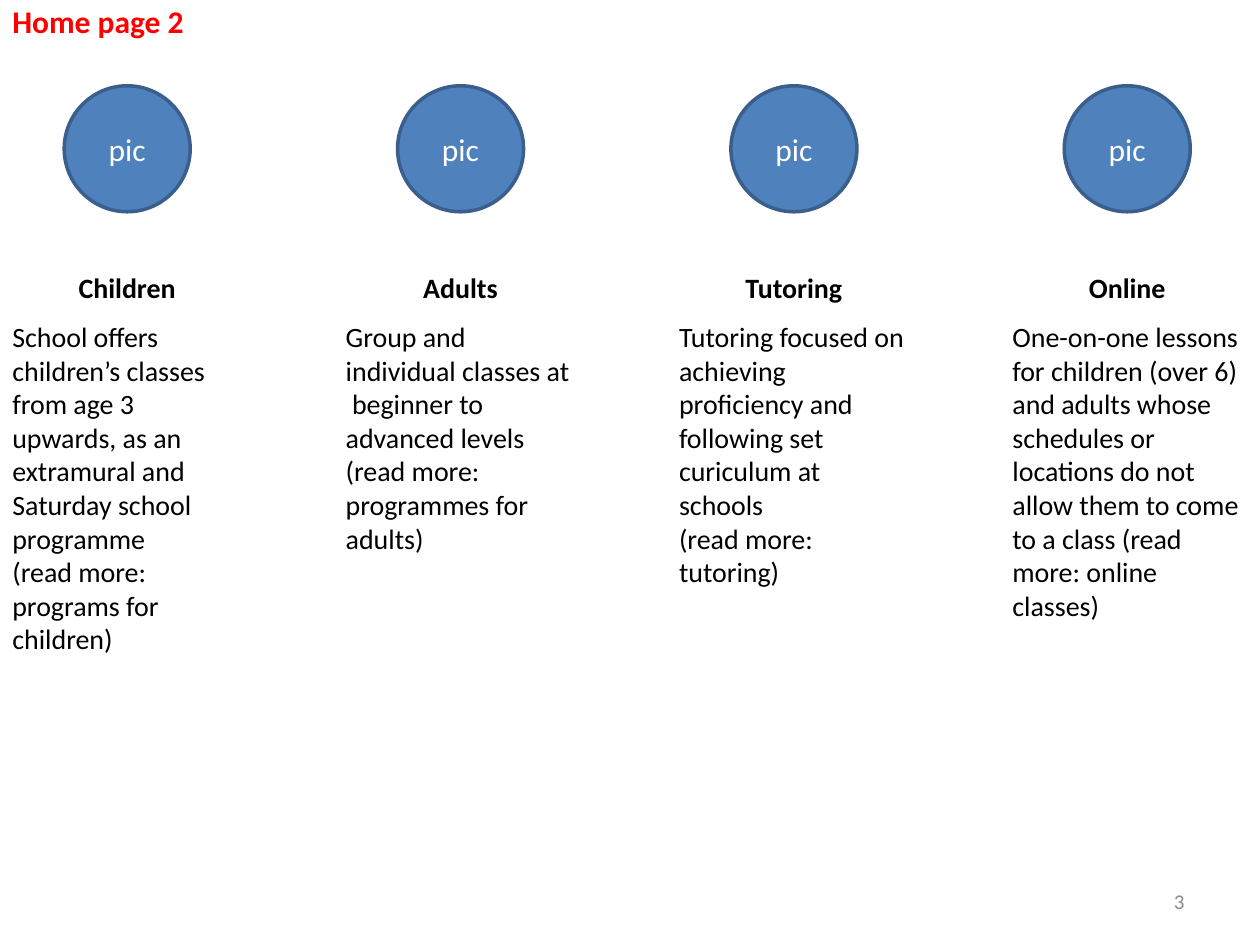
"""Build the home page slide with four columns of course offers."""
from dataclasses import dataclass

from pptx import Presentation
from pptx.dml.color import RGBColor
from pptx.enum.shapes import MSO_SHAPE
from pptx.enum.text import MSO_ANCHOR, MSO_AUTO_SIZE, PP_ALIGN
from pptx.util import Cm, Pt

OVAL = MSO_SHAPE.OVAL
TOP, MIDDLE = MSO_ANCHOR.TOP, MSO_ANCHOR.MIDDLE
FIT, FIXED = MSO_AUTO_SIZE.SHAPE_TO_FIT_TEXT, MSO_AUTO_SIZE.NONE
LEFT, CENTER, RIGHT = PP_ALIGN.LEFT, PP_ALIGN.CENTER, PP_ALIGN.RIGHT


@dataclass(frozen=True)
class Theme:
    font: str = "Calibri"
    title: RGBColor = RGBColor(0xFF, 0x00, 0x00)
    text: RGBColor = RGBColor(0x00, 0x00, 0x00)
    number: RGBColor = RGBColor(0x8C, 0x8C, 0x8C)
    on_fill: RGBColor = RGBColor(0xFF, 0xFF, 0xFF)
    fill: RGBColor = RGBColor(0x4F, 0x81, 0xBD)
    line: RGBColor = RGBColor(0x3A, 0x5F, 0x8C)
    large: Pt = Pt(18)
    body: Pt = Pt(16)
    small: Pt = Pt(12)
    outline: Pt = Pt(2)


THEME = Theme()
COLUMN_PITCH, COLUMN_WIDTH = 6.72, 5.13
CIRCLE_SIZE = 2.54
COLUMNS = [
    ("Children", 7.09, [
        "School offers children’s classes from age 3 upwards, as an extramural "
        "and Saturday school programme",
        "(read more: programs for children)"]),
    ("Adults", 5.05, [
        "Group and individual classes at  beginner to advanced levels",
        "(read more: programmes for adults)"]),
    ("Tutoring", 5.74, [
        "Tutoring focused on achieving proficiency and following set "
        "curiculum at schools",
        "(read more: tutoring)"]),
    ("Online", 6.4, [
        "One-on-one lessons for children (over 6) and adults whose schedules "
        "or locations do not allow them to come to a class (read more: online "
        "classes)"]),
]


def write(tf, lines, size, color, align=LEFT, bold=False):
    for i, line in enumerate(lines):
        p = tf.paragraphs[0] if i == 0 else tf.add_paragraph()
        p.text = line
        p.alignment = align
        p.font.name = THEME.font
        p.font.size = size
        p.font.color.rgb = color
        p.font.bold = bold


def add_text(shapes, box, lines, size, color, align=LEFT, bold=False,
             wrap=True, anchor=TOP, fit=FIT):
    tf = shapes.add_textbox(*map(Cm, box)).text_frame
    tf.word_wrap = wrap
    tf.auto_size = fit
    tf.vertical_anchor = anchor
    write(tf, lines, size, color, align, bold)


def add_circle(shapes, left, top, label):
    sp = shapes.add_shape(OVAL, Cm(left), Cm(top), Cm(CIRCLE_SIZE), Cm(CIRCLE_SIZE))
    sp.shadow.inherit = False
    sp.fill.solid()
    sp.fill.fore_color.rgb = THEME.fill
    sp.line.color.rgb = THEME.line
    sp.line.width = THEME.outline
    sp.text_frame.vertical_anchor = MIDDLE
    write(sp.text_frame, [label], THEME.large, THEME.on_fill, CENTER)


def add_column(slide, left, heading, height, lines):
    shapes = slide.shapes.add_group_shape().shapes
    add_circle(shapes, left + (COLUMN_WIDTH - CIRCLE_SIZE) / 2, 1.73, "pic")
    add_text(shapes, (left, 5.33, COLUMN_WIDTH, 0.94), [heading],
             THEME.body, THEME.text, CENTER, bold=True)
    add_text(shapes, (left, 6.32, COLUMN_WIDTH, height), lines,
             THEME.body, THEME.text)


def main():
    prs = Presentation()
    prs.slide_width, prs.slide_height = Cm(25.4), Cm(19.05)
    slide = prs.slides.add_slide(prs.slide_layouts[6])
    add_text(slide.shapes, (18.2, 17.66, 5.93, 1.01), ["3"], THEME.small,
             THEME.number, RIGHT, anchor=MIDDLE, fit=FIXED)
    add_text(slide.shapes, (0, -0.08, 4.14, 1.03), ["Home page 2"], THEME.large,
             THEME.title, bold=True, wrap=False)
    for i, column in enumerate(COLUMNS):
        add_column(slide, i * COLUMN_PITCH, *column)
    prs.save("out.pptx")


if __name__ == "__main__":
    main()
